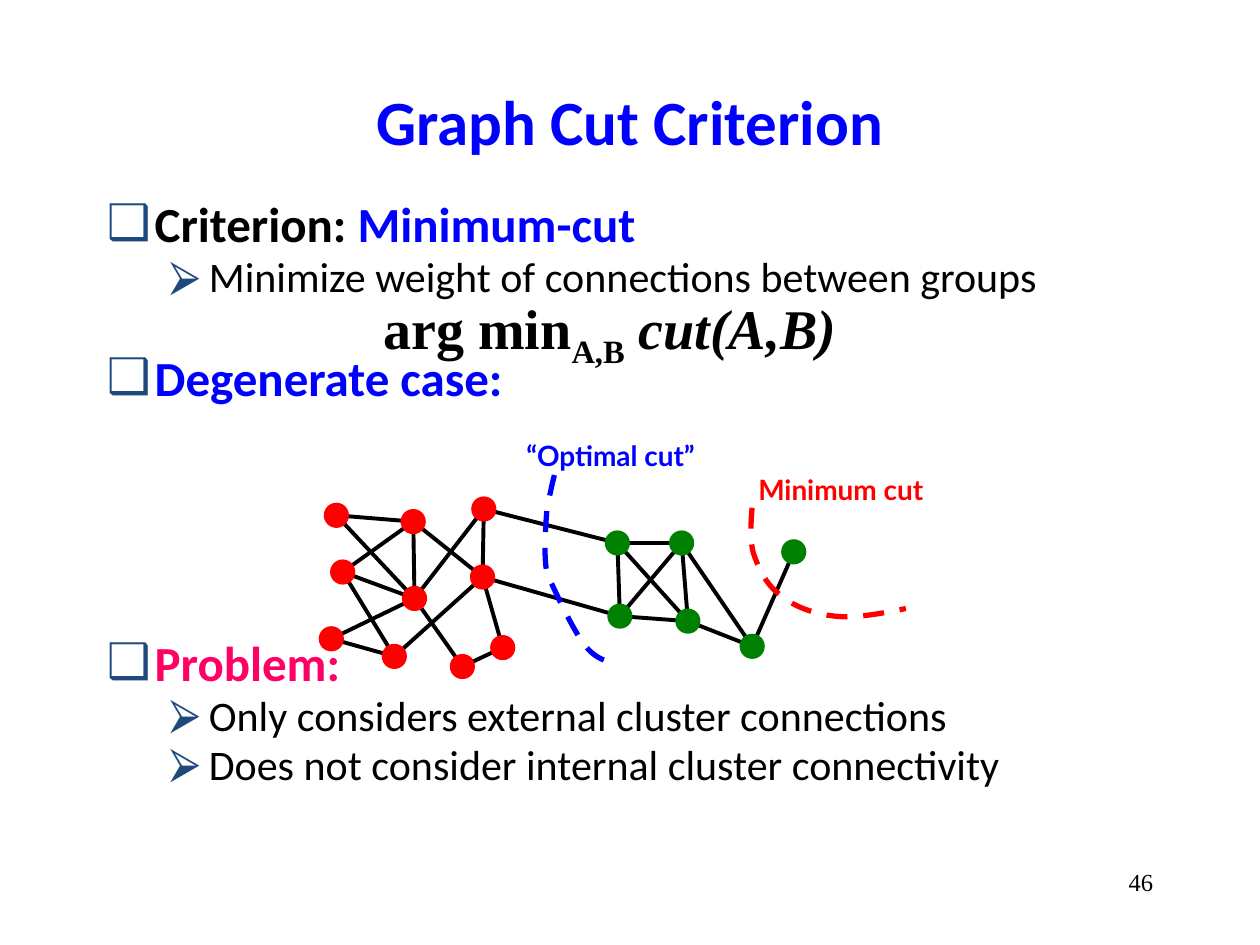
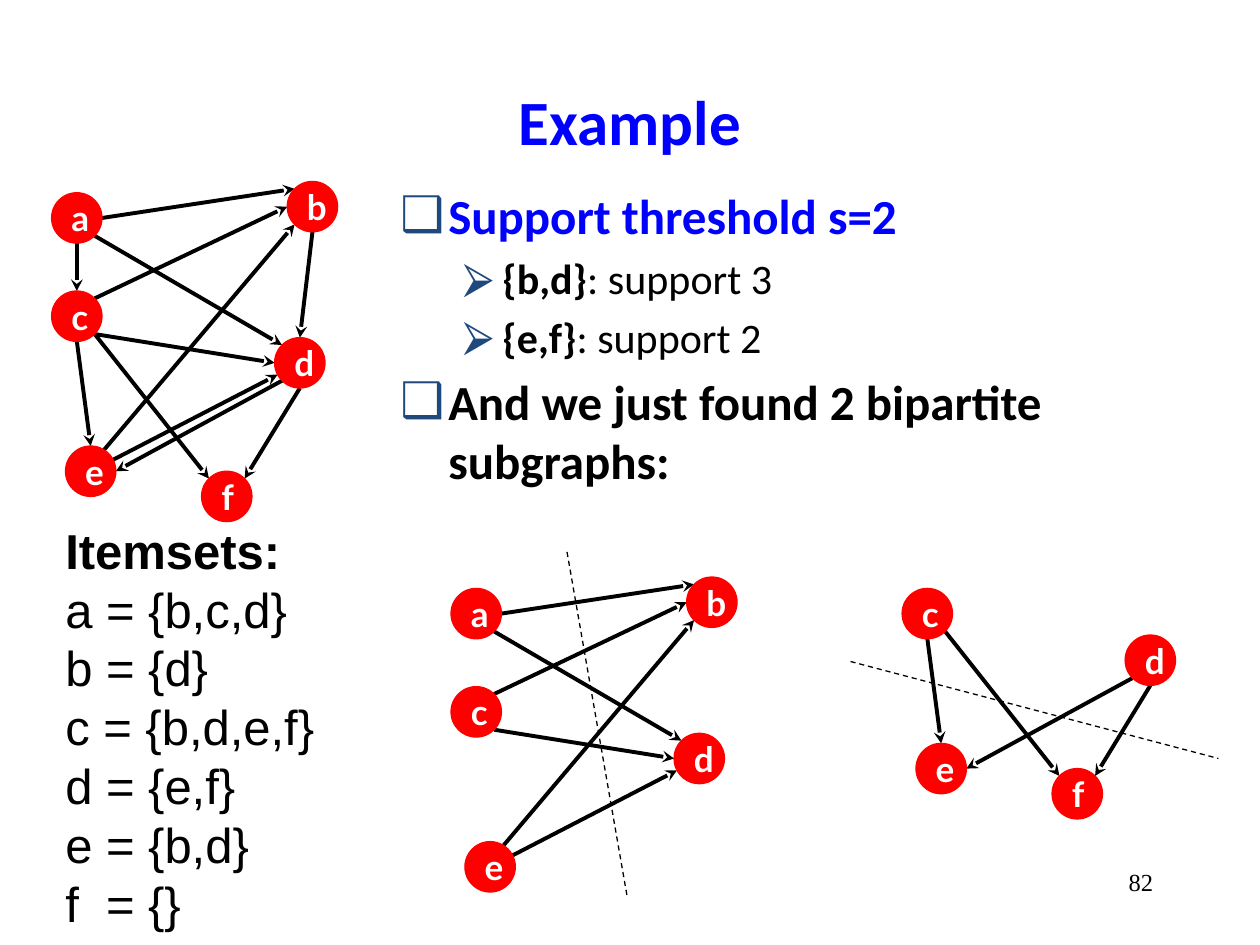
import math

from lxml import etree
from pptx import Presentation
from pptx import util as u
from pptx.dml.color import RGBColor
from pptx.enum import dml, shapes, text
from pptx.oxml.ns import qn

PX = 9144  # EMU in one px, 100 px to the inch
COLORS = {"black": "000000", "white": "FFFFFF", "blue": "0000FF", "red": "FF0000",
          "green": "008000", "pink": "FF0066", "bullet": "1F497D"}
TITLE = {"font": "Calibri", "size": 36, "bold": True, "color": "blue"}
HEAD = {"font": "Calibri", "size": 28, "bold": True}
BLUE_HEAD = {**HEAD, "color": "blue"}
POINT = {"font": "Calibri", "size": 24}
FORMULA = {"font": "Times New Roman", "size": 32, "bold": True}
LABEL = {"font": "Lato", "size": 16, "bold": True}
LETTER = {"font": "Lato", "size": 20, "bold": True, "color": "white"}
ITEM = {"font": "Arial", "size": 28}
NUMBER = {"font": "Times New Roman", "size": 14}

# Bullet levels: character, left margin, hanging indent
LEVELS = [("❑", 38, 38), ("⮚", 81, 31)]
BULLET_FONT = "Arial"

# Body paragraphs: level, space before in points, spans
CRITERION_BODY = [
    (0, 0, [("Criterion: ", HEAD), ("Minimum-cut", BLUE_HEAD)]),
    (1, 4.8, [("Minimize weight of connections between groups", POINT)]),
    (0, 33, [("Degenerate case:", BLUE_HEAD)]),
    (0, 136, [("Problem:", {**HEAD, "color": "pink"})]),
    (1, 4.8, [("Only considers external cluster connections", POINT)]),
    (1, 4.8, [("Does not consider internal cluster connectivity", POINT)]),
]
EXAMPLE_BODY = [
    (0, 0, [("Support threshold s=2", BLUE_HEAD)]),
    (1, 4.8, [("{b,d}", {**POINT, "bold": True}), (": support 3", POINT)]),
    (1, 4.8, [("{e,f}", {**POINT, "bold": True}), (": support 2", POINT)]),
    (0, 5.6, [("And we just found 2 bipartite subgraphs:", HEAD)]),
]
ARG_MIN = [("arg min", FORMULA), ("A,B", {**FORMULA, "baseline": -25000}),
           (" cut(A,B)", {**FORMULA, "italic": True})]
ITEMSETS = ["a = {b,c,d}", "b = {d}", "c = {b,d,e,f}", "d = {e,f}", "e = {b,d}", "f  = {}"]

# Two clusters: node centres
CLUSTERS = {
    "red": {"r1": (267, 409), "r2": (328, 414), "r3": (384, 404), "r4": (272, 454),
            "r5": (329, 475), "r6": (383, 458), "r7": (263, 507), "r8": (313, 521),
            "r9": (367, 529), "r10": (399, 514)},
    "green": {"g1": (490, 431), "g2": (541, 431), "g3": (630, 438), "g4": (492, 489),
              "g5": (546, 493), "g6": (597, 513)},
}
CLUSTER_EDGES = """r1-r2 r1-r5 r2-r4 r2-r5 r2-r6 r3-r5 r3-r6 r4-r5 r4-r8 r5-r7 r5-r9
r6-r8 r6-r10 r7-r8 r9-r10 r3-g1 r6-g4 g1-g2 g1-g4 g1-g5 g2-g4 g2-g5 g2-g6 g3-g6
g4-g5 g5-g6""".split()
NODE = 20

# Cuts: label, label box, colour, start point and following Bezier control points
CUTS = [
    ("“Optimal cut”", (408, 343, 174, 37), "blue",
     [(440, 377), (438, 385), (436, 394), (434, 405), (433, 417), (432, 436), (433, 447),
      (434, 458), (436, 459), (441, 470), (446, 481), (457, 503), (464, 512),
      (472, 522), (479, 524), (486, 526)]),
    ("Minimum cut", (592, 370, 166, 37), "red",
     [(597, 403), (596, 415), (595, 428), (598, 439), (602, 451), (608, 464), (619, 472),
      (629, 481), (645, 487), (662, 489), (679, 491), (699, 487), (719, 483)]),
]

# Directed graph: top left of each letter's circle
LETTERS = {"a": (41, 153), "b": (228, 144), "c": (41, 231),
           "d": (218, 268), "e": (52, 354), "f": (160, 374)}
CIRCLE = 40
# Source, angle on its circle, target, angle on its circle (clockwise from the right)
ARROWS = [("a", 0, "b", 225), ("a", 90, "c", 270), ("a", 45, "d", 225),
          ("b", 90, "d", 270), ("c", 315, "b", 180), ("c", 45, "d", 180),
          ("c", 90, "e", 270), ("c", 45, "f", 225), ("d", 135, "e", 0),
          ("d", 90, "f", 315), ("e", 302, "b", 135), ("e", 333, "d", 152)]
# Sources, targets, shift from the full graph, dividing line
BIPARTITE = [("ace", "bd", (317, 314), ((450, 438), (498, 713))),
             ("cd", "ef", (675, 236), ((675, 525), (967, 602)))]


def emu(*lengths):
    return [round(length * PX) for length in lengths]


def rgb(name):
    return RGBColor.from_string(COLORS[name])


def add_spans(para, spans):
    for words, style in spans:
        span = para.add_run()
        span.text = words
        font = span.font
        font.name = style["font"]
        font.size = u.Pt(style["size"])
        font.bold = style.get("bold", False)
        font.italic = style.get("italic", False)
        font.color.rgb = rgb(style.get("color", "black"))
        if "baseline" in style:
            span._r.get_or_add_rPr().set("baseline", str(style["baseline"]))


def add_text(page, place, paragraphs, align=text.PP_ALIGN.LEFT, anchor=text.MSO_ANCHOR.TOP):
    """Add a text box; paragraphs is a list of span lists. Return its paragraphs."""
    frame = page.shapes.add_textbox(*emu(*place)).text_frame
    frame.word_wrap = True
    frame.vertical_anchor = anchor
    for index, spans in enumerate(paragraphs):
        para = frame.add_paragraph() if index else frame.paragraphs[0]
        para.alignment = align
        add_spans(para, spans)
    return frame.paragraphs


def add_body(page, place, content, line_spacing=1.0):
    paras = add_text(page, place, [spans for _, _, spans in content])
    for para, (level, space, _) in zip(paras, content):
        mark, margin, hang = LEVELS[level]
        props = para._p.get_or_add_pPr()
        props.set("marL", str(margin * PX))
        props.set("indent", str(-hang * PX))
        color = etree.SubElement(props, qn("a:buClr"))
        etree.SubElement(color, qn("a:srgbClr")).set("val", COLORS["bullet"])
        etree.SubElement(props, qn("a:buFont")).set("typeface", BULLET_FONT)
        etree.SubElement(props, qn("a:buChar")).set("char", mark)
        para.level = level
        para.line_spacing = line_spacing
        if space:
            para.space_before = u.Pt(space)


def add_line(page, start, end, width=2.25, dashed=False, arrow=False):
    connector = page.shapes.add_connector(shapes.MSO_CONNECTOR.STRAIGHT, *emu(*start, *end))
    connector.line.color.rgb = rgb("black")
    connector.line.width = u.Pt(width)
    if dashed:
        connector.line.dash_style = dml.MSO_LINE.DASH
    props = connector._element.spPr
    if arrow:
        etree.SubElement(props.find(qn("a:ln")), qn("a:tailEnd")).set("type", "stealth")
    etree.SubElement(props, qn("a:effectLst"))


def add_circle(page, left, top, size, color):
    circle = page.shapes.add_shape(shapes.MSO_SHAPE.OVAL, *emu(left, top, size, size))
    circle.shadow.inherit = False
    circle.fill.solid()
    circle.fill.fore_color.rgb = rgb(color)
    circle.line.fill.background()
    return circle


def bezier_points(controls, steps=10):
    """Sample a chain of cubic Bezier curves, in EMU."""
    points = [tuple(emu(*controls[0]))]
    for first in range(0, len(controls) - 1, 3):
        curve = controls[first:first + 4]
        for step in range(1, steps + 1):
            t = step / steps
            weights = [math.comb(3, i) * t ** i * (1 - t) ** (3 - i) for i in range(4)]
            points.append(tuple(emu(*(sum(w * value for w, value in zip(weights, axis))
                                      for axis in zip(*curve)))))
    return points


def add_cut(page, label, place, color, controls):
    add_text(page, place, [[(label, {**LABEL, "color": color})]])
    start, *rest = bezier_points(controls)
    builder = page.shapes.build_freeform(*start, scale=1.0)
    builder.add_line_segments(rest, close=False)
    curve = builder.convert_to_shape()
    curve.shadow.inherit = False
    curve.fill.background()
    curve.line.color.rgb = rgb(color)
    curve.line.width = u.Pt(3)
    curve.line.dash_style = dml.MSO_LINE.DASH


def add_clusters(page):
    centres = {name: at for nodes in CLUSTERS.values() for name, at in nodes.items()}
    for edge in CLUSTER_EDGES:
        add_line(page, *(centres[name] for name in edge.split("-")))
    for color, nodes in CLUSTERS.items():
        for x, y in nodes.values():
            add_circle(page, x - NODE / 2, y - NODE / 2, NODE, color)


def add_graph(page, sources, targets, shift=(0, 0)):
    """Draw the arrows that run from sources to targets, and their letters."""
    corners = {name: (x + shift[0], y + shift[1]) for name, (x, y) in LETTERS.items()}

    def rim(name, angle):
        turn, radius = math.radians(angle), CIRCLE / 2
        x, y = corners[name]
        return x + radius * (1 + math.cos(turn)), y + radius * (1 + math.sin(turn))

    for source, leave, target, arrive in ARROWS:
        if source in sources and target in targets:
            add_line(page, rim(source, leave), rim(target, arrive), arrow=True)
    for name in sorted(set(sources + targets)):
        circle = add_circle(page, *corners[name], CIRCLE, "red")
        circle.line.color.rgb = rgb("red")
        circle.line.width = u.Pt(0.75)
        para = circle.text_frame.paragraphs[0]
        para.alignment = text.PP_ALIGN.CENTER
        add_spans(para, [(name, LETTER)])


def add_page(deck, title, number):
    page = deck.slides.add_slide(deck.slide_layouts[6])
    add_text(page, (75, 33, 850, 125), [[(title, TITLE)]],
             text.PP_ALIGN.CENTER, text.MSO_ANCHOR.MIDDLE)
    add_text(page, (717, 683, 208, 50), [[(number, NUMBER)]], text.PP_ALIGN.RIGHT)
    return page


def main():
    deck = Presentation()
    deck.slide_width, deck.slide_height = emu(1000, 750)

    page = add_page(deck, "Graph Cut Criterion", "46")
    add_body(page, (75, 158, 850, 508), CRITERION_BODY, line_spacing=0.8)
    add_text(page, (273, 228, 422, 64), [ARG_MIN], text.PP_ALIGN.CENTER)
    add_clusters(page)
    for cut in CUTS:
        add_cut(page, *cut)

    page = add_page(deck, "Example", "82")
    add_body(page, (308, 142, 683, 575), EXAMPLE_BODY)
    add_graph(page, "abcdef", "abcdef")
    add_text(page, (42, 408, 220, 340),
             [[("Itemsets:", {**ITEM, "bold": True})]] + [[(row, ITEM)] for row in ITEMSETS])
    for sources, targets, shift, divider in BIPARTITE:
        add_graph(page, sources, targets, shift)
        add_line(page, *divider, width=0.75, dashed=True)

    deck.save("out.pptx")


if __name__ == "__main__":
    main()
